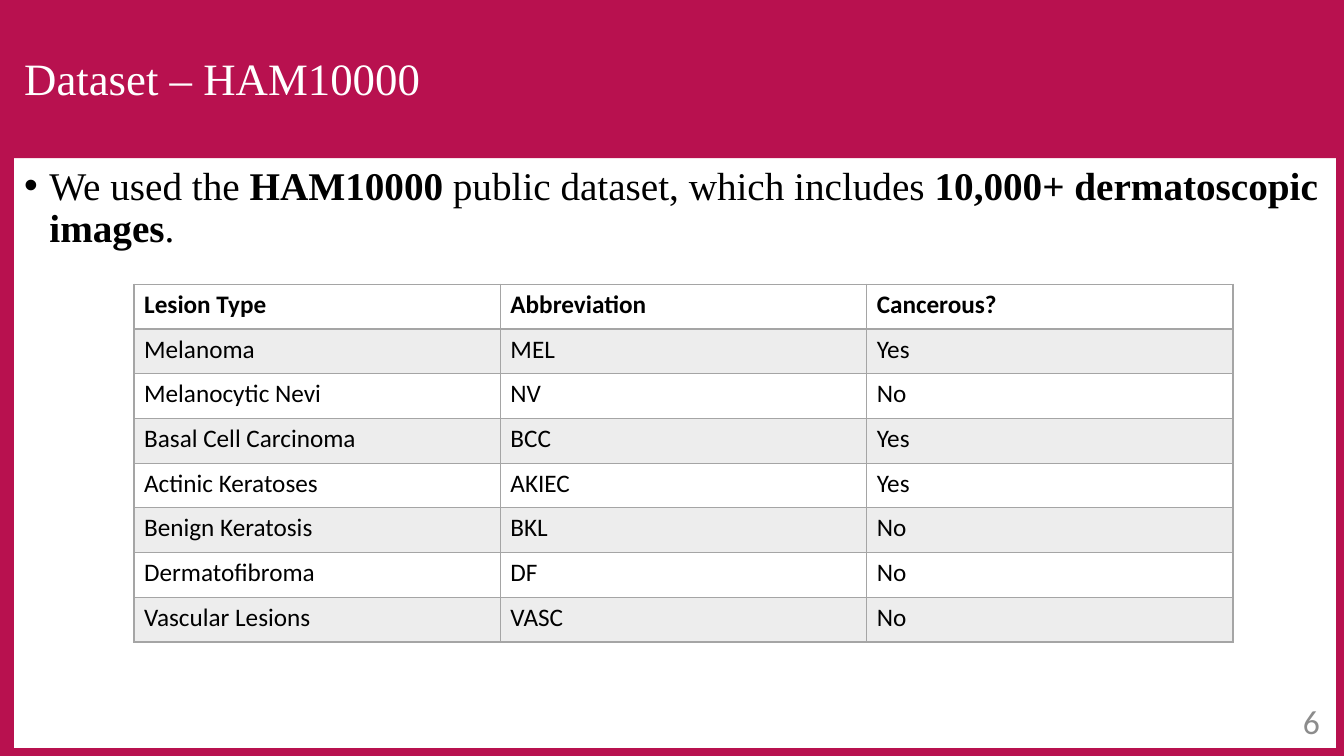
from dataclasses import dataclass

from lxml import etree
from pptx import Presentation
from pptx.dml.color import RGBColor
from pptx.enum.shapes import MSO_SHAPE
from pptx.enum.text import MSO_ANCHOR, MSO_AUTO_SIZE, PP_ALIGN
from pptx.oxml.ns import qn
from pptx.util import Inches, Pt


@dataclass(frozen=True)
class Theme:
    crimson: RGBColor = RGBColor(0xB8, 0x11, 0x4F)
    white: RGBColor = RGBColor(0xFF, 0xFF, 0xFF)
    black: RGBColor = RGBColor(0, 0, 0)
    band: RGBColor = RGBColor(0xED, 0xED, 0xED)
    rule: RGBColor = RGBColor(0xA5, 0xA5, 0xA5)
    muted: RGBColor = RGBColor(0x8C, 0x8C, 0x8C)
    serif: str = "Times New Roman"
    sans: str = "Calibri"
    title: Pt = Pt(32)
    body: Pt = Pt(28)
    number: Pt = Pt(24)
    cell: Pt = Pt(18)


THEME = Theme()


def style(para, name, size, color):
    para.font.name, para.font.size = name, size
    para.font.color.rgb = color


def draw_borders(cell, bottom_width):
    """Rule all four sides; call before filling, as the schema puts lines first."""
    props = cell._tc.get_or_add_tcPr()
    for side in ("lnL", "lnR", "lnT", "lnB"):
        width = bottom_width if side == "lnB" else Pt(1)
        line = etree.SubElement(props, qn(f"a:{side}"), w=str(width))
        fill = etree.SubElement(line, qn("a:solidFill"))
        etree.SubElement(fill, qn("a:srgbClr"), val=str(THEME.rule))


deck = Presentation()
deck.slide_width, deck.slide_height = Inches(13.33), Inches(7.5)
page = deck.slides.add_slide(deck.slide_layouts[5 - 4])

# Frame, white panel and title band, placed behind the placeholders
BACKDROP = [
    ((0, 0, 13.33, 7.5), THEME.crimson, True),
    ((0.13, 0.08, 13.13, 7.35), THEME.white, True),
    ((0, 0, 13.33, 1.57), THEME.crimson, False),
]
for layer, (place, color, outlined) in enumerate(BACKDROP):
    panel = page.shapes.add_shape(MSO_SHAPE.RECTANGLE, *map(Inches, place))
    panel.shadow.inherit = False
    panel.fill.solid()
    panel.fill.fore_color.rgb = color
    if outlined:
        panel.line.color.rgb = THEME.crimson
        panel.line.width = Pt(1)
    else:
        panel.line.fill.background()
    page.shapes.element.insert(2 + layer, panel.element)

# Title and body
title, body = page.shapes.title, page.placeholders[1]
for box, top, height, anchor in (
    (title, 0.08, 1.45, MSO_ANCHOR.MIDDLE),
    (body, 1.6, 5.35, MSO_ANCHOR.TOP),
):
    box.left, box.width = Inches(0.14), Inches(13.07)
    box.top, box.height = Inches(top), Inches(height)
    box.text_frame.auto_size = MSO_AUTO_SIZE.NONE
    box.text_frame.vertical_anchor = anchor

title.text_frame.text = "Dataset – HAM10000"
para = title.text_frame.paragraphs[0]
para.alignment = PP_ALIGN.LEFT
para.line_spacing = 0.9
style(para, THEME.serif, THEME.title, THEME.white)

para = body.text_frame.paragraphs[0]
para.line_spacing = 0.9
para.space_before = Pt(10)
style(para, THEME.serif, THEME.body, THEME.black)
for text, bold in (
    ("We used the ", False),
    ("HAM10000", True),
    (" public dataset, which includes ", False),
    ("10,000+ dermatoscopic images", True),
    (".", False),
):
    span = para.add_run()
    span.text = text
    span.font.bold = bold
bullet_props = para._p.get_or_add_pPr()
bullet_props.set("marL", str(Inches(0.25)))
bullet_props.set("indent", str(-Inches(0.25)))
# The bullet elements must precede the paragraph's default run properties
run_defaults = bullet_props.find(qn("a:defRPr"))
for tag, attributes in (("a:buFont", {"typeface": "Arial"}), ("a:buChar", {"char": "•"})):
    run_defaults.addprevious(etree.Element(qn(tag), attributes))

# Lesion table
LESIONS = [
    ("Lesion Type", "Abbreviation", "Cancerous?"),
    ("Melanoma", "MEL", "Yes"),
    ("Melanocytic Nevi", "NV", "No"),
    ("Basal Cell Carcinoma", "BCC", "Yes"),
    ("Actinic Keratoses", "AKIEC", "Yes"),
    ("Benign Keratosis", "BKL", "No"),
    ("Dermatofibroma", "DF", "No"),
    ("Vascular Lesions", "VASC", "No"),
]
table = page.shapes.add_table(
    len(LESIONS), len(LESIONS[0]), Inches(1.33), Inches(2.82), Inches(10.9), Inches(3.55)
).table
table.first_row = table.horz_banding = False
for row, lesion in enumerate(LESIONS):
    for column, text in enumerate(lesion):
        cell = table.cell(row, column)
        cell.text = text
        para = cell.text_frame.paragraphs[0]
        style(para, THEME.sans, THEME.cell, THEME.black)
        para.font.bold = row == 0
        draw_borders(cell, Pt(2) if row == 0 else Pt(1))
        if row % 2:
            cell.fill.solid()
            cell.fill.fore_color.rgb = THEME.band
        else:
            cell.fill.background()

# Page number
number = page.shapes.add_textbox(Inches(10.19), Inches(6.95), Inches(3), Inches(0.4))
number.text_frame.word_wrap = True
number.text_frame.vertical_anchor = MSO_ANCHOR.MIDDLE
number.text_frame.text = "6"
para = number.text_frame.paragraphs[0]
para.alignment = PP_ALIGN.RIGHT
style(para, THEME.sans, THEME.number, THEME.muted)

deck.save("out.pptx")
